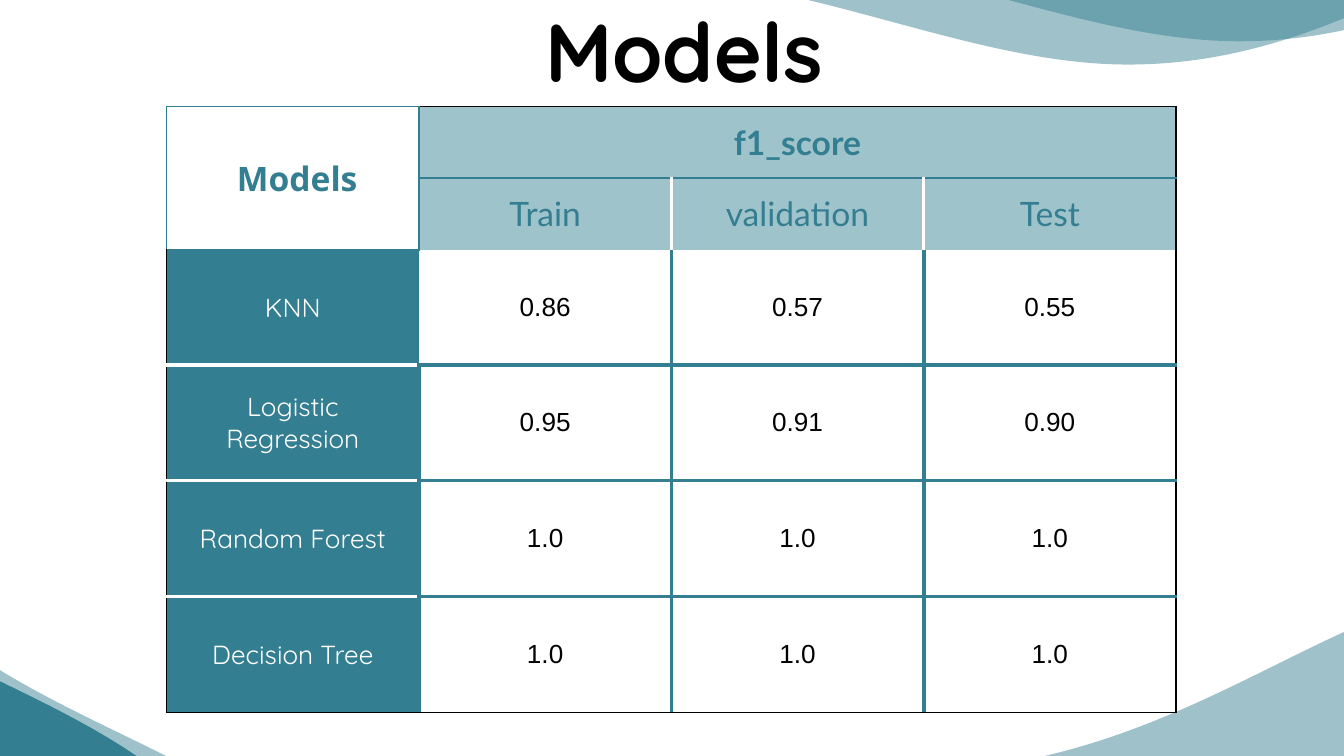
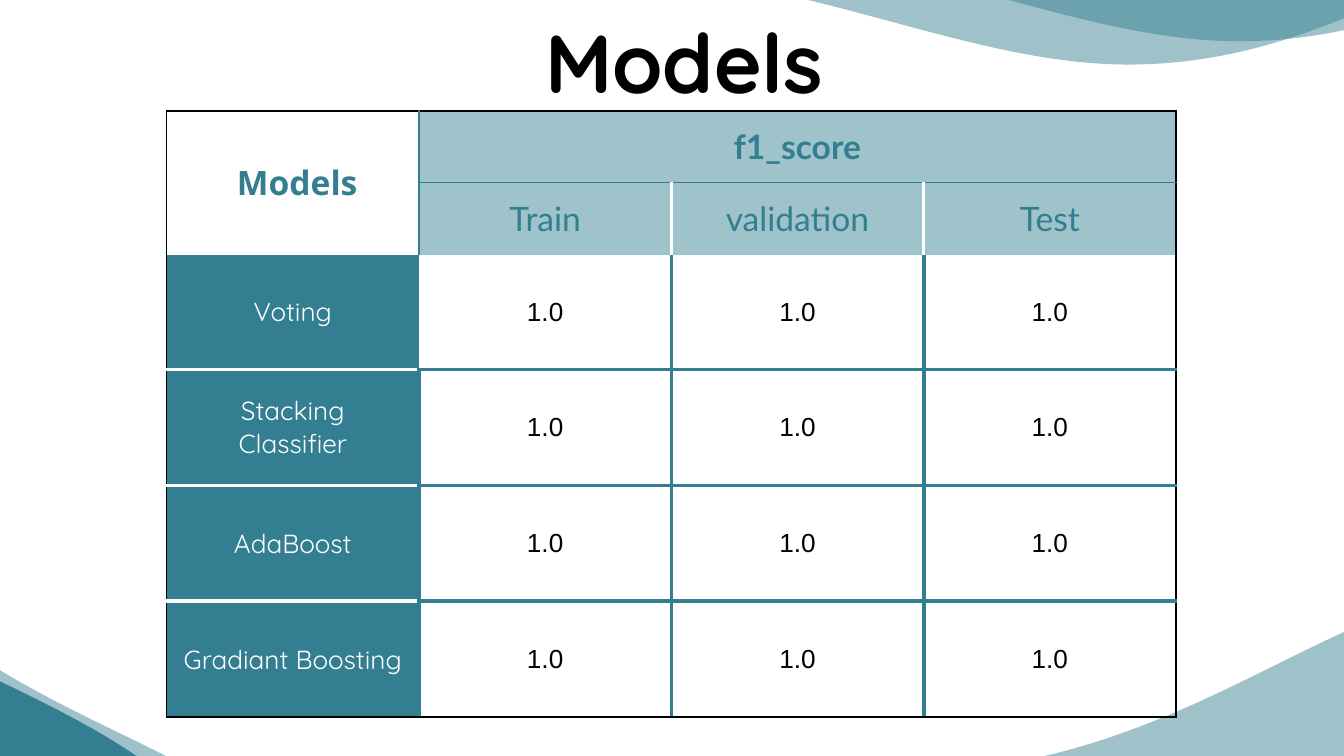
from dataclasses import dataclass
from typing import Any, NamedTuple, Optional

from lxml import etree
from pptx import Presentation
from pptx import util as u
from pptx.dml.color import RGBColor
from pptx.enum import text
from pptx.oxml import ns

COLOURS = {"teal": "337E90", "mist": "9FC3CB", "black": "000000", "white": "FFFFFF"}
PLAIN_TABLE_STYLE = "{2D5ABB26-0587-4C30-8999-92F81FD0307C}"
WAVE_OPACITY = 47000
INSET = u.Cm(0.25)
INSETS = {f"margin_{side}": INSET for side in ("left", "right", "top", "bottom")}

# Table grid, in cm
TABLE_LEFT = 3.15
COLUMN_WIDTH = 4.77
ROW_HEIGHTS = [1.35, 1.35, 2.17, 2.19, 2.19, 2.19]
HEADER_ROWS = 2
LAST_ROW, LAST_COLUMN = len(ROW_HEIGHTS), 4
SPLITS = ["Train", "validation", "Test"]

Point = tuple[float, float]


class Outline(NamedTuple):
    """A start, cubic curves (two controls and an end) and a closing corner, in cm."""
    start: Point
    curves: list[tuple[Point, Point, Point]]
    corner: Point
    width: float


HILL = Outline((0, 0), [((4.37, 7.16), (10.08, 4.22), (13.92, 8.46))], (0, 8.46), 13.92)
SWOOSH = Outline((0, 3.02), [((3.42, 3.02), (6.5, 4.72), (9.53, 4.72)),
                             ((14.99, 4.72), (17.83, 0), (26.06, 0))], (0, 0), 26.06)


class Wave(NamedTuple):
    outline: Outline
    left: float
    top: float
    width: float
    rotation: float = 0
    translucent: bool = True


WAVES = [
    Wave(HILL, -5.72, 8.0, 13.92, 11.4),
    Wave(SWOOSH, 13.89, -3.94, 26.06),
    Wave(SWOOSH, 15.93, 10.77, 21.18, 185),
    Wave(HILL, -8.0, 7.01, 13.92, 11.4, translucent=False),
    Wave(SWOOSH, 11.79, -3.5, 26.06),
]


class Border(NamedTuple):
    colour: str
    width: float


FRAME = Border("black", 1)
THIN = Border("teal", 1)
GRID = Border("teal", 2.25)
LABEL_RULE = Border("white", 2.25)
SPLIT_RULE = Border("white", 1.5)


class CellStyle(NamedTuple):
    font: str
    size: float
    colour: str
    bold: bool = False
    fill: Optional[str] = None


CORNER = CellStyle("Noto Sans", 18, "teal", bold=True)
METRIC = CellStyle("Lato", 18, "teal", bold=True, fill="mist")
SPLIT = CellStyle("Lato", 18, "teal", fill="mist")
LABEL = CellStyle("Quicksand", 14, "white", fill="teal")
SCORE = CellStyle("Arial", 14, "black")
TITLE = CellStyle("Quicksand", 44, "black", bold=True)
HEADING = " Models"


@dataclass
class ScoreSlide:
    title_top: float
    title_height: float
    table_top: float
    corner_border: Border
    scores: dict[str, list[str]]


PERFECT = ["1.0"] * 3
SLIDES = [
    ScoreSlide(-0.24, 2.26, 2.01, THIN, {
        "KNN": ["0.86", "0.57", "0.55"],
        "Logistic Regression": ["0.95", "0.91", "0.90"],
        "Random Forest": PERFECT,
        "Decision Tree": PERFECT,
    }),
    ScoreSlide(-0.03, 1.88, 2.1, FRAME, {
        "Voting": PERFECT,
        "Stacking\nClassifier": PERFECT,
        "AdaBoost": PERFECT,
        "Gradiant Boosting": PERFECT,
    }),
]


def rgb(colour: str) -> RGBColor:
    return RGBColor.from_string(COLOURS[colour])


def apply(target: Any, formats: dict[str, Any]) -> None:
    for attribute, value in formats.items():
        setattr(target, attribute, value)


def style_text(frame: Any, style: CellStyle) -> None:
    for paragraph in frame.paragraphs:
        paragraph.alignment = text.PP_ALIGN.CENTER
        for run in paragraph.runs:
            apply(run.font, {"name": style.font, "size": u.Pt(style.size), "bold": style.bold})
            run.font.color.rgb = rgb(style.colour)


# Background waves

def bend(shape: Any, curve_count: int) -> None:
    """Turn each leading group of three straight segments into one cubic curve."""
    lines = list(shape.element.iter(ns.qn("a:lnTo")))
    for first in range(0, 3 * curve_count, 3):
        curve = etree.Element(ns.qn("a:cubicBezTo"))
        lines[first].addprevious(curve)
        for line in lines[first:first + 3]:
            curve.append(line[0])
            line.getparent().remove(line)


def draw_wave(slide: Any, wave: Wave) -> Any:
    outline = wave.outline
    stretch = wave.width / outline.width
    corners = [outline.start, *(p for curve in outline.curves for p in curve), outline.corner]
    points = [(u.Cm(x * stretch), u.Cm(y)) for x, y in corners]
    builder = slide.shapes.build_freeform(*points[0])
    builder.add_line_segments(points[1:], close=True)
    shape = builder.convert_to_shape(u.Cm(wave.left), u.Cm(wave.top))
    bend(shape, len(outline.curves))
    shape.rotation = wave.rotation
    shape.shadow.inherit = False
    shape.line.fill.background()
    shape.fill.solid()
    shape.fill.fore_color.rgb = rgb("teal")
    if wave.translucent:
        colour = shape.element.spPr.find(".//" + ns.qn("a:srgbClr"))
        etree.SubElement(colour, ns.qn("a:alpha"), val=str(WAVE_OPACITY))
    return shape


def add_waves_to_layout(layout: Any, slide: Any) -> None:
    """Build the waves on a slide, then move them to its layout for all slides."""
    for number, wave in enumerate(WAVES):
        element = draw_wave(slide, wave).element
        element.nvSpPr.cNvPr.id = 100 + number
        layout.shapes.element.append(element)


# Border rules

def border_above(row: int, column: int, corner: Border) -> Optional[Border]:
    if row == 0:
        return corner if column == 0 else FRAME
    if row == LAST_ROW:
        return FRAME
    if row < HEADER_ROWS:
        return None if column == 0 else THIN
    if row == HEADER_ROWS:
        return THIN if column == 0 and corner == THIN else None
    return LABEL_RULE if column == 0 else GRID


def border_left_of(column: int, row: int, corner: Border) -> Optional[Border]:
    if column == 0:
        return corner if row < HEADER_ROWS else FRAME
    if column == LAST_COLUMN:
        return FRAME
    if row < HEADER_ROWS:
        if column == 1:
            return THIN
        return SPLIT_RULE if row == 1 else None
    return None if (row, column) == (HEADER_ROWS, 1) else GRID


def draw_borders(cell: Any, row: int, column: int, corner: Border) -> None:
    height = cell.span_height if cell.is_merge_origin else 1
    width = cell.span_width if cell.is_merge_origin else 1
    sides = {
        "a:lnL": border_left_of(column, row, corner),
        "a:lnR": border_left_of(column + width, row, corner),
        "a:lnT": border_above(row, column, corner),
        "a:lnB": border_above(row + height, column, corner),
    }
    properties = cell._tc.get_or_add_tcPr()
    for tag, border in sides.items():
        line = etree.SubElement(properties, ns.qn(tag))
        if border:
            line.set("w", str(u.Pt(border.width)))
            fill = etree.SubElement(line, ns.qn("a:solidFill"))
            etree.SubElement(fill, ns.qn("a:srgbClr"), val=COLOURS[border.colour])
        else:
            etree.SubElement(line, ns.qn("a:noFill"))


# Slide parts

def style_for(row: int, column: int) -> CellStyle:
    if row < HEADER_ROWS:
        return CORNER if column == 0 else (METRIC, SPLIT)[row]
    return LABEL if column == 0 else SCORE


def add_title(slide: Any, content: ScoreSlide) -> None:
    title = slide.shapes.title
    apply(title, {"left": u.Cm(8.59), "top": u.Cm(content.title_top),
                  "width": u.Cm(8.26), "height": u.Cm(content.title_height)})
    frame = title.text_frame
    frame.text = HEADING
    apply(frame, {**INSETS, "vertical_anchor": text.MSO_ANCHOR.TOP, "word_wrap": True,
                  "auto_size": text.MSO_AUTO_SIZE.NONE})
    style_text(frame, TITLE)


def add_score_table(slide: Any, content: ScoreSlide) -> None:
    frame = slide.shapes.add_table(
        LAST_ROW, LAST_COLUMN, u.Cm(TABLE_LEFT), u.Cm(content.table_top),
        u.Cm(COLUMN_WIDTH * LAST_COLUMN), u.Cm(sum(ROW_HEIGHTS)))
    table = frame.table
    table._tbl.tblPr.find(ns.qn("a:tableStyleId")).text = PLAIN_TABLE_STYLE
    apply(table, {"first_row": False, "horz_banding": False})
    for column in table.columns:
        column.width = u.Cm(COLUMN_WIDTH)
    for row, height in zip(table.rows, ROW_HEIGHTS):
        row.height = u.Cm(height)
    table.cell(0, 0).merge(table.cell(1, 0))
    table.cell(0, 1).merge(table.cell(0, 3))

    wording = [[HEADING, "f1_score", "", ""], ["", *SPLITS]]
    wording += [[model, *scores] for model, scores in content.scores.items()]
    for r, line in enumerate(wording):
        for c, words in enumerate(line):
            cell, style = table.cell(r, c), style_for(r, c)
            if words:
                cell.text_frame.text = words
            apply(cell, {**INSETS, "vertical_anchor": text.MSO_ANCHOR.MIDDLE})
            style_text(cell.text_frame, style)
            draw_borders(cell, r, c, content.corner_border)
            if style.fill:
                cell.fill.solid()
                cell.fill.fore_color.rgb = rgb(style.fill)
            else:
                cell.fill.background()


def main() -> None:
    deck = Presentation()
    apply(deck, {"slide_width": u.Cm(25.4), "slide_height": u.Cm(14.29)})
    title_only = deck.slide_layouts[5]
    for number, content in enumerate(SLIDES):
        slide = deck.slides.add_slide(title_only)
        if number == 0:
            add_waves_to_layout(title_only, slide)
        add_title(slide, content)
        add_score_table(slide, content)
    deck.save("out.pptx")


if __name__ == "__main__":
    main()
